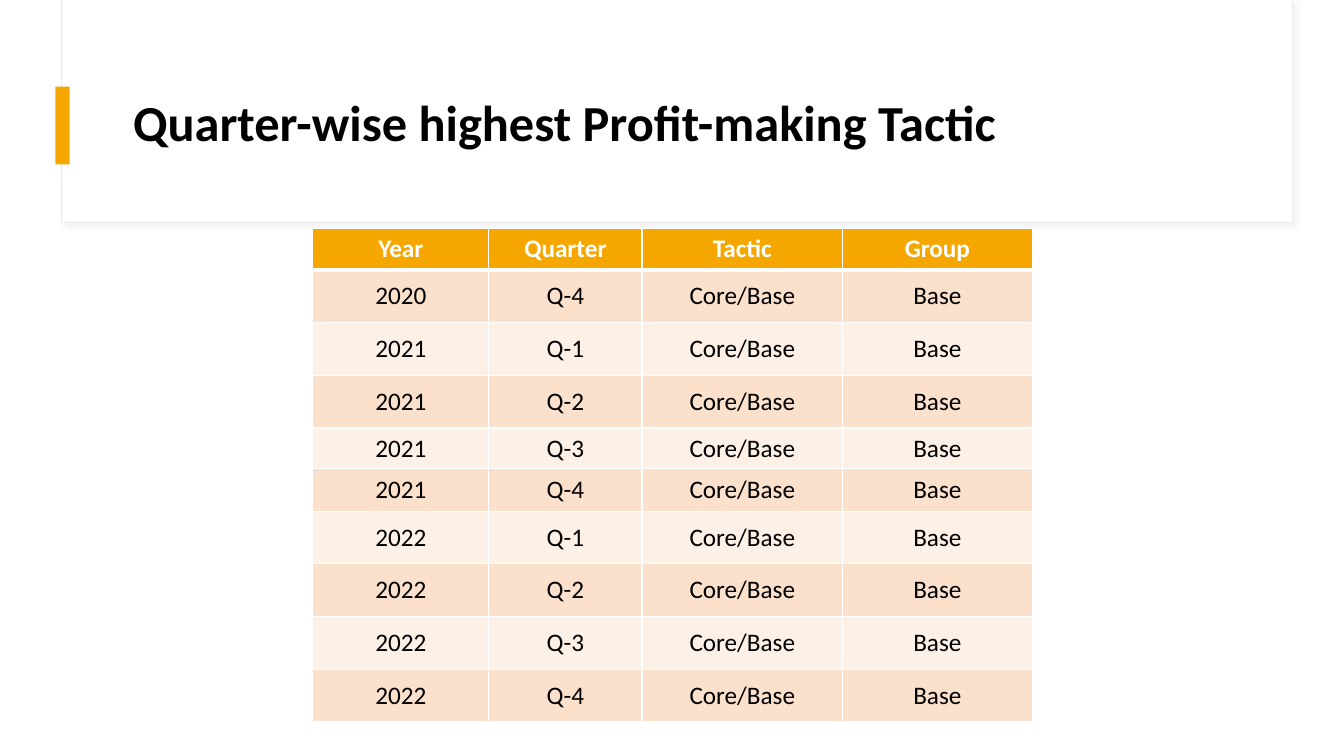
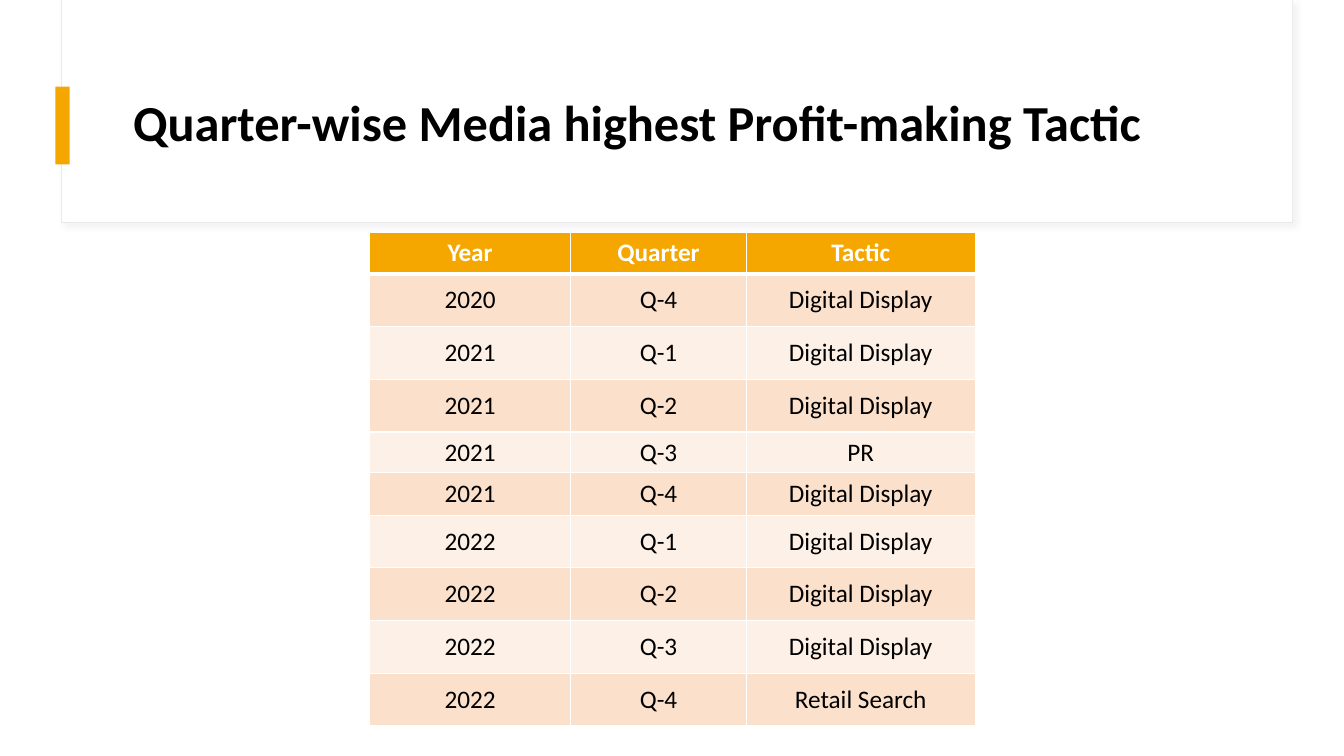
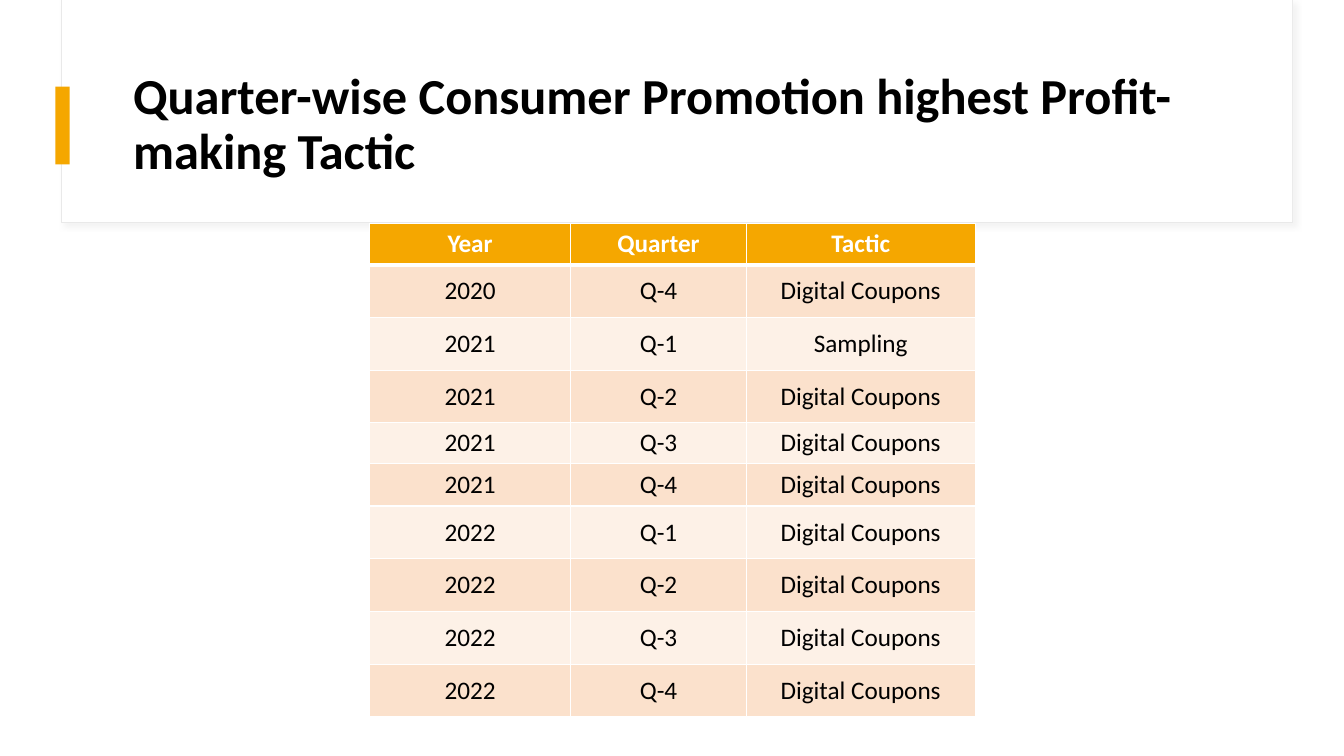
from dataclasses import dataclass

from lxml import etree
from pptx import Presentation
from pptx import util as u
from pptx.dml.color import RGBColor
from pptx.enum import shapes, text
from pptx.oxml import ns

WIDTH, HEIGHT = u.Inches(13.33), u.Inches(7.5)
TITLE_ONLY_LAYOUT = 5

AMBER, WHITE, BLACK = "F5A700", "FFFFFF", "000000"
OUTLINE, SHADOW = "E9E9E9", "D9D9D9"
ROW_FILLS = ("FBE1CC", "FDF1E7")

TITLE_FONT = {"name": "Calibri", "size": u.Pt(36), "bold": True}
HEADING_FONT = {"name": "Calibri", "size": u.Pt(18), "bold": True}
CELL_FONT = HEADING_FONT | {"bold": False}

# Row heights in percent of the slide height
COMPACT, MEDIUM, REGULAR = 5.4, 5.6, 6.98
ROW_HEIGHTS = (COMPACT, *[REGULAR] * 3, COMPACT, MEDIUM, *[REGULAR] * 4)

# Nine quarters in a row, from the last one of 2020
FIRST_QUARTER = 2020 * 4 + 3
QUARTERS = [
    (str(number // 4), f"Q-{number % 4 + 1}")
    for number in range(FIRST_QUARTER, FIRST_QUARTER + 9)
]


@dataclass(frozen=True)
class Box:
    """Place and size in percent of the slide's width and height."""

    left: float
    top: float
    width: float
    height: float

    def lengths(self) -> tuple[int, int, int, int]:
        return across(self.left), down(self.top), across(self.width), down(self.height)


@dataclass(frozen=True)
class Panel:
    box: Box
    fill: str
    outline: str | None = None


@dataclass(frozen=True)
class TacticSlide:
    title: str
    left: float
    top: float
    columns: dict[str, float]
    details: list[tuple[str, ...]]


TITLE_BOX = Box(9.15, 8, 83.4, 17.2)
PANELS = (
    Panel(Box(4.58, 0, 91.58, 29.47), WHITE, OUTLINE),
    Panel(Box(4.65, 0, 91.5, 29.33), WHITE),
    Panel(Box(4.13, 11.47, 1.05, 10.27), AMBER),
)

THREE_COLUMNS = {"Year": 15, "Quarter": 13.05, "Tactic": 17.03}
FOUR_COLUMNS = {"Year": 13.09, "Quarter": 11.4, "Tactic": 14.93, "Group": 14.1}
DISPLAY, COUPONS = ("Digital Display",), ("Digital Coupons",)

TACTIC_SLIDES = (
    TacticSlide(
        "Quarter-wise highest Profit-making Tactic",
        23.28, 30.27, FOUR_COLUMNS,
        [("Core/Base", "Base")] * 9,
    ),
    TacticSlide(
        "Quarter-wise Media highest Profit-making Tactic",
        27.48, 30.8, THREE_COLUMNS,
        [*[DISPLAY] * 3, ("PR",), *[DISPLAY] * 4, ("Retail Search",)],
    ),
    TacticSlide(
        "Quarter-wise Consumer Promotion highest Profit-making Tactic",
        27.48, 29.6, THREE_COLUMNS,
        [COUPONS, ("Sampling",), *[COUPONS] * 7],
    ),
)


def across(percent: float) -> int:
    return round(WIDTH * percent / 100)


def down(percent: float) -> int:
    return round(HEIGHT * percent / 100)


def paint(color_format, color: str) -> None:
    color_format.rgb = RGBColor.from_string(color)


def fill_solid(fill, color: str) -> None:
    fill.solid()
    paint(fill.fore_color, color)


def format_font(font, values: dict, color: str) -> None:
    for name, value in values.items():
        setattr(font, name, value)
    paint(font.color, color)


def add_xml_color(parent, color: str):
    return etree.SubElement(parent, ns.qn("a:srgbClr"), val=color)


def add_soft_shadow(shape) -> None:
    effects = shape.element.spPr.find(ns.qn("a:effectLst"))
    shadow = etree.SubElement(
        effects, ns.qn("a:outerShdw"),
        blurRad=str(u.Pt(4)), dist=str(u.Pt(3)), dir=str(45 * 60000),
    )
    etree.SubElement(add_xml_color(shadow, SHADOW), ns.qn("a:alpha"), val="30000")


def add_panels_to_layout(layout, slide) -> None:
    """Draw the header panels on a slide and move them behind the layout's placeholders."""
    for index, panel in enumerate(PANELS):
        shape = slide.shapes.add_shape(shapes.MSO_SHAPE.RECTANGLE, *panel.box.lengths())
        shape.shadow.inherit = False
        fill_solid(shape.fill, panel.fill)
        if panel.outline:
            paint(shape.line.color, panel.outline)
            shape.line.width = u.Pt(0.75)
            add_soft_shadow(shape)
        else:
            shape.line.fill.background()
        shape.element.nvSpPr.cNvPr.set("id", str(100 + index))
        layout.shapes.element.insert(2 + index, shape.element)


def write_title(slide, title: str) -> None:
    shape = slide.shapes.title
    shape.left, shape.top, shape.width, shape.height = TITLE_BOX.lengths()
    frame = shape.text_frame
    frame.text = title
    frame.auto_size = text.MSO_AUTO_SIZE.NONE
    frame.vertical_anchor = text.MSO_ANCHOR.MIDDLE
    paragraph = frame.paragraphs[0]
    paragraph.alignment = text.PP_ALIGN.LEFT
    paragraph.line_spacing = 0.9
    format_font(paragraph.runs[0].font, TITLE_FONT, BLACK)


def add_borders(cell, widths: dict[str, int]) -> None:
    properties = cell._tc.get_or_add_tcPr()
    for side, width in widths.items():
        line = etree.SubElement(properties, ns.qn(f"a:ln{side}"), w=str(u.Pt(width)))
        add_xml_color(etree.SubElement(line, ns.qn("a:solidFill")), WHITE)


def write_cell(cell, value: str, row: int) -> None:
    is_heading = row == 0
    add_borders(cell, {"L": 1, "R": 1, "T": 3 if row == 1 else 1, "B": 3 if is_heading else 1})
    fill_solid(cell.fill, AMBER if is_heading else ROW_FILLS[(row - 1) % 2])
    cell.vertical_anchor = text.MSO_ANCHOR.MIDDLE
    cell.text = value
    paragraph = cell.text_frame.paragraphs[0]
    paragraph.alignment = text.PP_ALIGN.CENTER
    font = paragraph.runs[0].font
    if is_heading:
        format_font(font, HEADING_FONT, WHITE)
    else:
        format_font(font, CELL_FONT, BLACK)


def add_tactic_table(slide, content: TacticSlide) -> None:
    records = [tuple(content.columns)]
    records += [quarter + detail for quarter, detail in zip(QUARTERS, content.details)]
    box = Box(content.left, content.top, sum(content.columns.values()), sum(ROW_HEIGHTS))
    table = slide.shapes.add_table(
        len(records), len(content.columns), *box.lengths()
    ).table
    for column, width in zip(table.columns, content.columns.values()):
        column.width = across(width)
    for row, height in zip(table.rows, ROW_HEIGHTS):
        row.height = down(height)
    for row_index, record in enumerate(records):
        for column_index, value in enumerate(record):
            write_cell(table.cell(row_index, column_index), value, row_index)


def main() -> None:
    presentation = Presentation()
    presentation.slide_width, presentation.slide_height = WIDTH, HEIGHT
    layout = presentation.slide_layouts[TITLE_ONLY_LAYOUT]
    for content in TACTIC_SLIDES:
        slide = presentation.slides.add_slide(layout)
        write_title(slide, content.title)
        add_tactic_table(slide, content)
    add_panels_to_layout(layout, presentation.slides[0])
    presentation.save("out.pptx")


if __name__ == "__main__":
    main()
